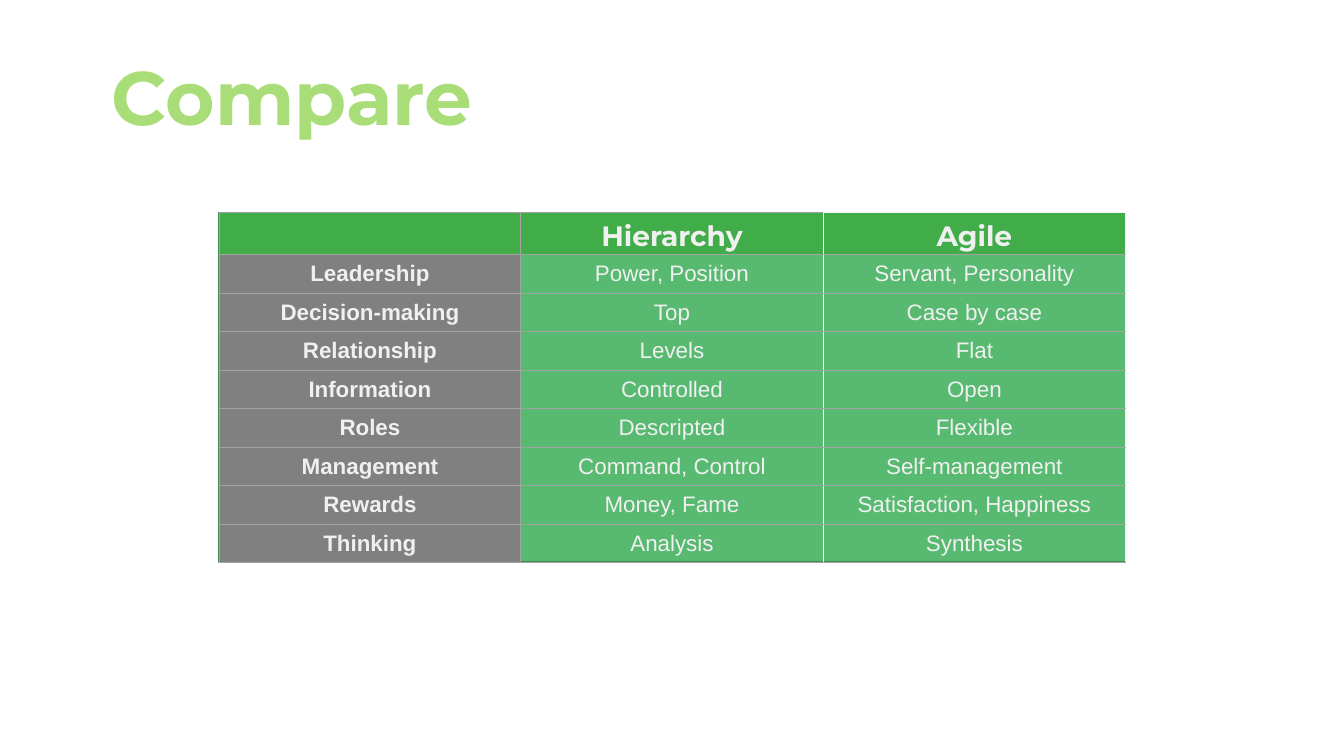
from pptx import Presentation
from pptx.dml.color import RGBColor as RGB
from pptx.enum.shapes import MSO_SHAPE as SHAPE
from pptx.enum.text import MSO_ANCHOR as ANCHOR, MSO_AUTO_SIZE as SIZE, PP_ALIGN as ALIGN
from pptx.oxml import parse_xml
from pptx.oxml.ns import nsdecls
from pptx.util import Pt

COLORS = {
    "title": "A9DD78", "head": "41AD49", "label": "808080", "panel": "58BA71",
    "edge": "418A54", "text": "F0F0F0", "grid": "A3A3A3", "light": "F8F8F8",
}
ROWS = [
    ("", "Hierarchy", "Agile"),
    ("Leadership", "Power, Position", "Servant, Personality"),
    ("Decision-making", "Top", "Case by case"),
    ("Relationship", "Levels", "Flat"),
    ("Information", "Controlled", "Open"),
    ("Roles", "Descripted", "Flexible"),
    ("Management", "Command, Control", "Self-management"),
    ("Rewards", "Money, Fame", "Satisfaction, Happiness"),
    ("Thinking", "Analysis", "Synthesis"),
]


def color(name):
    return RGB.from_string(COLORS[name])


def style(par, face, size, tone, bold):
    font = par.font
    font.name, font.size, font.bold = face, Pt(size), bold
    font.color.rgb = color(tone)


deck = Presentation()
deck.slide_width, deck.slide_height = Pt(960), Pt(540)
slide = deck.slides.add_slide(deck.slide_layouts[5])

# Title
title = slide.shapes.title
title.left, title.top, title.width, title.height = Pt(72.7), Pt(38.9), Pt(766.8), Pt(66.2)
frame = title.text_frame
frame.text = "Compare"
frame.auto_size = SIZE.NONE
frame.vertical_anchor = ANCHOR.BOTTOM
par = frame.paragraphs[0]
par.alignment = ALIGN.LEFT
par.line_spacing = 0.9
style(par, "Montserrat", 54, "title", True)

# Green panel behind the table
place = Pt(156.5), Pt(152), Pt(647.5), Pt(249.5)
panel = slide.shapes.add_shape(SHAPE.RECTANGLE, *place)
panel.shadow.inherit = False
panel.fill.solid()
panel.fill.fore_color.rgb = color("panel")
panel.line.color.rgb = color("edge")
panel.line.width = Pt(1)

# Table: green header, grey labels, clear cells over the panel
table = slide.shapes.add_table(len(ROWS), 3, *place).table
for col, width in zip(table.columns, (215.5, 216, 216)):
    col.width = Pt(width)

for r, row in enumerate(ROWS):
    table.rows[r].height = Pt(27.5 if r else 30)
    for c, text in enumerate(row):
        cell = table.cell(r, c)
        cell.margin_left = cell.margin_right = cell.margin_bottom = 0
        cell.margin_top = Pt(5)
        cell.text = text
        par = cell.text_frame.paragraphs[0]
        par.alignment = ALIGN.CENTER
        if r == 0:
            style(par, "Montserrat", 20, "text", True)
        else:
            style(par, "Arial", 16, "text", c == 0)

        if r and c:
            cell.fill.background()
        else:
            cell.fill.solid()
            cell.fill.fore_color.rgb = color("label" if r else "head")

        # Borders: light lines around the last column, grey elsewhere
        sides = {
            "L": ("light" if c == 2 else "grid", 0.5 if c else 0.25),
            "R": ("light" if c else "grid", 0.5),
            "T": ("light" if r == 0 and c == 2 else "grid", 0.25 if r == 6 else 0.5),
            "B": ("grid", 0.25 if r == 5 else 0.5),
        }
        props = cell._tc.get_or_add_tcPr()
        for i, (side, (tone, width)) in enumerate(sides.items()):
            props.insert(i, parse_xml(
                f'<a:ln{side} {nsdecls("a")} w="{Pt(width)}"><a:solidFill>'
                f'<a:srgbClr val="{COLORS[tone]}"/></a:solidFill></a:ln{side}>'))

deck.save("out.pptx")
